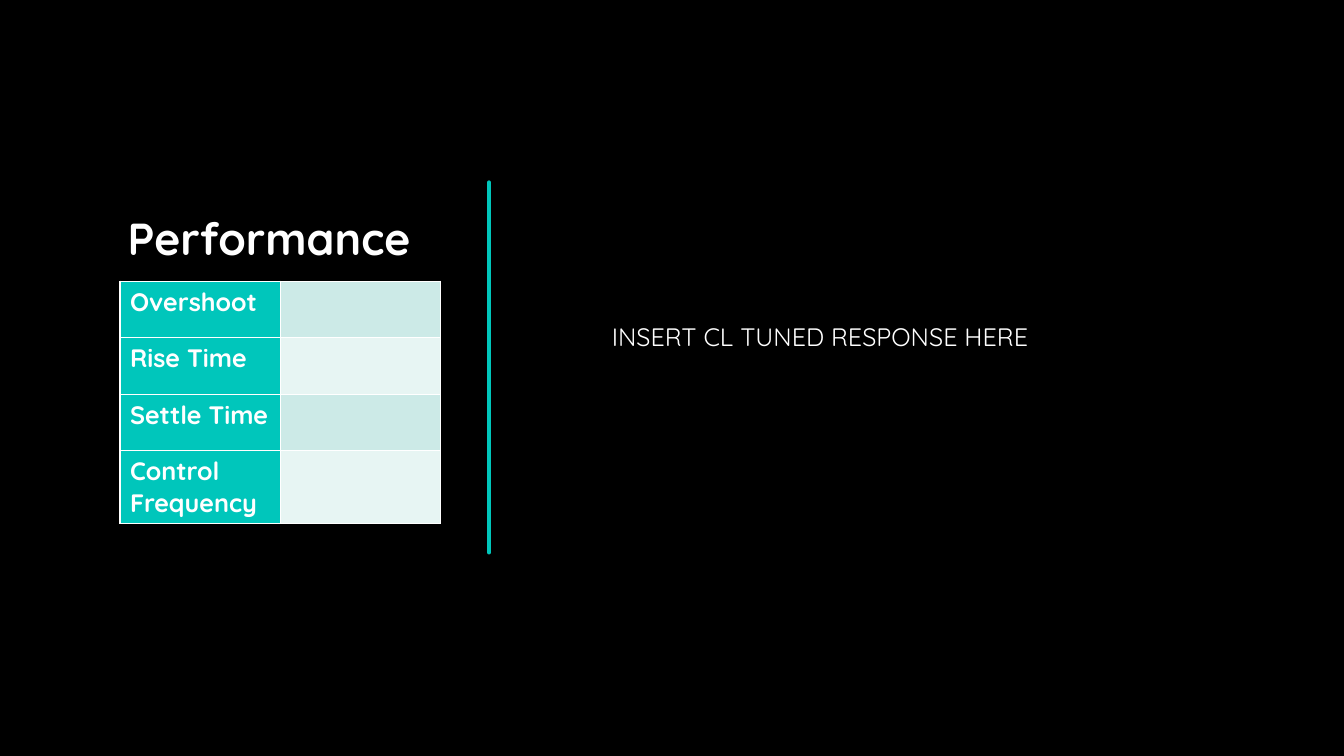
"""Build the closed-loop performance slide."""
import pptx
import pptx.dml.color
import pptx.enum.shapes
import pptx.enum.text
import pptx.oxml.ns
import pptx.util
from lxml import etree

Inches, Pt = pptx.util.Inches, pptx.util.Pt
RGBColor = pptx.dml.color.RGBColor
qn = pptx.oxml.ns.qn

TITLE = "Performance"
METRICS = ["Overshoot", "Rise Time", "Settle Time", "Control Frequency"]
RESPONSE = "INSERT CL TUNED RESPONSE HERE"

FONT = "Quicksand"
BLACK = RGBColor(0x00, 0x00, 0x00)
WHITE = RGBColor(0xFF, 0xFF, 0xFF)
TEAL = RGBColor(0x00, 0xC6, 0xBB)
BANDS = [RGBColor(0xCC, 0xEA, 0xE7), RGBColor(0xE7, 0xF5, 0xF3)]
COL_W, ROW_H = 1.59, 0.56


def add_run(p, text, size, bold=False):
    """Add one white run to a paragraph."""
    r = p.add_run()
    r.text = text
    r.font.name = FONT
    r.font.size = Pt(size)
    r.font.bold = bold
    r.font.color.rgb = WHITE


def style_cell(cell, color):
    """Give a cell white borders and a solid fill."""
    tc_pr = cell._tc.get_or_add_tcPr()
    for side in ("lnL", "lnR", "lnT", "lnB"):
        ln = etree.SubElement(tc_pr, qn("a:" + side), w=str(Pt(1)))
        fill = etree.SubElement(ln, qn("a:solidFill"))
        etree.SubElement(fill, qn("a:srgbClr"), val=str(WHITE))
    cell.fill.solid()
    cell.fill.fore_color.rgb = color


def add_divider(s):
    """Draw the vertical teal line."""
    line = s.shapes.add_connector(
        pptx.enum.shapes.MSO_CONNECTOR.STRAIGHT,
        Inches(4.85), Inches(1.81), Inches(4.85), Inches(5.48))
    line.line.color.rgb = TEAL
    line.line.width = Pt(3)
    line.line._ln.set("cap", "rnd")
    etree.SubElement(line._element.spPr, qn("a:effectLst"))


def add_title(s):
    """Place and format the title."""
    title = s.shapes.title
    title.left, title.top = Inches(0.53), Inches(0.52)
    title.width, title.height = Inches(4.28), Inches(3.67)
    tf = title.text_frame
    tf.word_wrap = True
    tf.vertical_anchor = pptx.enum.text.MSO_ANCHOR.MIDDLE
    p = tf.paragraphs[0]
    p.alignment = pptx.enum.text.PP_ALIGN.CENTER
    add_run(p, TITLE, 32, True)


def add_metrics(s):
    """Add the table of metrics with blank values."""
    rows = len(METRICS)
    table = s.shapes.add_table(
        rows, 2, Inches(1.19), Inches(2.79),
        Inches(2 * COL_W), Inches(rows * ROW_H)).table
    table.first_row = False
    table.first_col = True
    for i, metric in enumerate(METRICS):
        label, value = table.cell(i, 0), table.cell(i, 1)
        style_cell(label, TEAL)
        style_cell(value, BANDS[i % 2])
        add_run(label.text_frame.paragraphs[0], metric, 18, True)


def add_response(s):
    """Add the response text."""
    box = s.shapes.add_textbox(Inches(5.97), Inches(3.14), Inches(5.12), Inches(0.4))
    tf = box.text_frame
    tf.word_wrap = True
    tf.auto_size = pptx.enum.text.MSO_AUTO_SIZE.SHAPE_TO_FIT_TEXT
    add_run(tf.paragraphs[0], RESPONSE, 18)


def main():
    """Build and save the slide."""
    prs = pptx.Presentation()
    prs.slide_width, prs.slide_height = Inches(13.33), Inches(7.5)
    s = prs.slides.add_slide(prs.slide_layouts[5])
    s.background.fill.solid()
    s.background.fill.fore_color.rgb = BLACK
    add_divider(s)
    add_title(s)
    add_metrics(s)
    add_response(s)
    prs.save("out.pptx")


if __name__ == "__main__":
    main()
